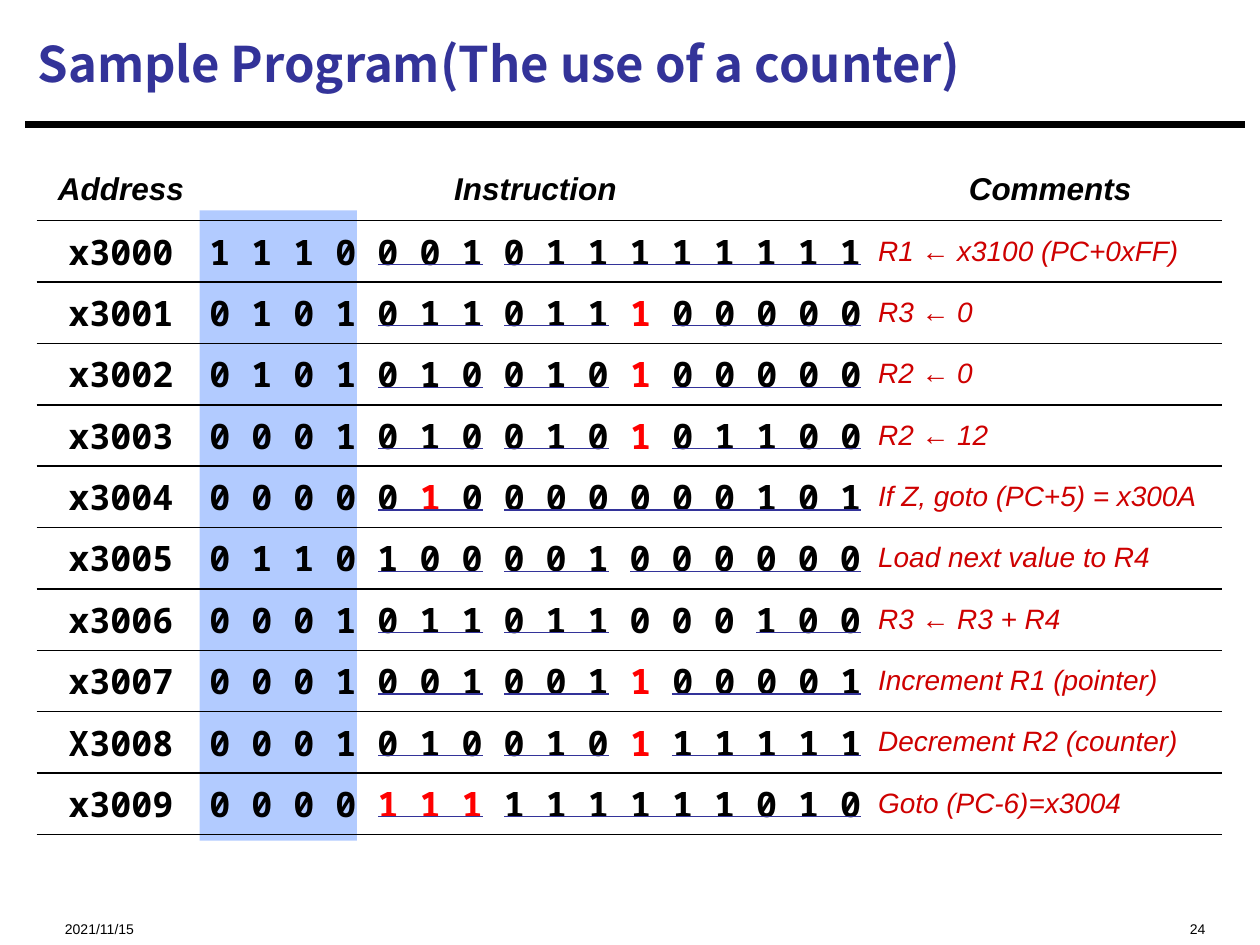
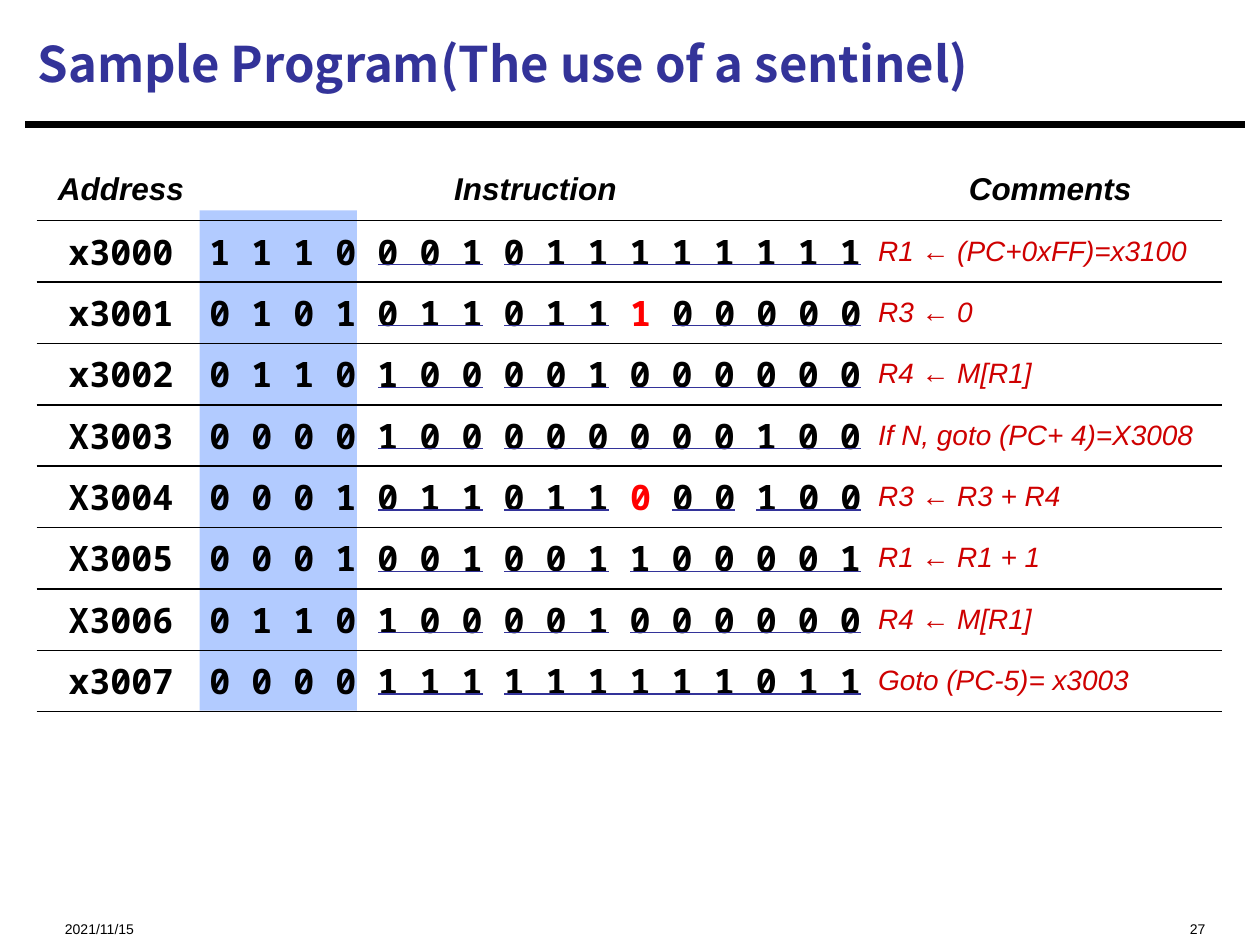
from dataclasses import dataclass
from itertools import groupby

from lxml.etree import SubElement
from pptx import Presentation
from pptx.dml.color import RGBColor
from pptx.enum.shapes import MSO_CONNECTOR, MSO_SHAPE
from pptx.enum.text import MSO_ANCHOR, MSO_AUTO_SIZE, PP_ALIGN
from pptx.oxml import parse_xml
from pptx.oxml.ns import nsdecls, qn
from pptx.util import Inches, Pt

# Grid: one column holds one instruction bit, one row holds one instruction
WIDTH, HEIGHT = Inches(10), Inches(7.5)
COLUMN, ROW = WIDTH / 30, HEIGHT / 15.4
TABLE_LEFT, TABLE_TOP = 0.87, 2.57
TABLE_COLUMNS = (3.72, 16.02, 8.49)
FIRST_BIT, BIT_WIDTH = 5, 0.5
FIRST_UNDERLINE = 4.31

BLACK, NAVY, RED, CRIMSON, BLUE = "000000", "333399", "FF0000", "CE0000", "6699FF"

# Underlined bit ranges of each instruction format
Fields = tuple[tuple[int, int], ...]
REGISTERS: Fields = ((4, 6), (7, 9))
OFFSET: Fields = ((4, 6), (7, 15))
BASE: Fields = REGISTERS + ((10, 15),)
IMMEDIATE: Fields = REGISTERS + ((11, 15),)
TWO_SOURCES: Fields = REGISTERS + ((13, 15),)
PADDED_SOURCES: Fields = REGISTERS + ((11, 12), (13, 15))


@dataclass(frozen=True)
class TextStyle:
    font: str
    size: float
    color: str = BLACK
    bold: bool = False
    italic: bool = False


TITLE = TextStyle("Noto Sans CJK SC", 28, NAVY, bold=True)
HEADING = TextStyle("Arial", 18, bold=True, italic=True)
CODE = TextStyle("Noto Sans Mono", 20, bold=True)
MARKED_CODE = TextStyle("Noto Sans Mono", 20, RED, bold=True)
COMMENT = TextStyle("Arial", 16, CRIMSON, italic=True)
FOOTER = TextStyle("Arial", 8)


@dataclass(frozen=True)
class Instruction:
    address: str
    bits: str
    comment: str
    fields: Fields
    marked: tuple[int, ...] = ()


@dataclass(frozen=True)
class Program:
    title: str
    number: str
    opcode_band_rows: float
    instructions: tuple[Instruction, ...]


COUNTER = Program("Sample Program(The use of a counter)", "24", 10.27, (
    Instruction("x3000", "1110001011111111", "R1 ← x3100 (PC+0xFF)", OFFSET),
    Instruction("x3001", "0101011011100000", "R3 ← 0", IMMEDIATE, (10,)),
    Instruction("x3002", "0101010010100000", "R2 ← 0", IMMEDIATE, (10,)),
    Instruction("x3003", "0001010010101100", "R2 ← 12", IMMEDIATE, (10,)),
    Instruction("x3004", "0000010000000101", "If Z, goto (PC+5) = x300A", OFFSET, (5,)),
    Instruction("x3005", "0110100001000000", "Load next value to R4", BASE),
    Instruction("x3006", "0001011011000100", "R3 ← R3 + R4", TWO_SOURCES),
    Instruction("x3007", "0001001001100001", "Increment R1 (pointer)", IMMEDIATE, (10,)),
    Instruction("X3008", "0001010010111111", "Decrement R2 (counter)", IMMEDIATE, (10,)),
    Instruction("x3009", "0000111111111010", "Goto (PC-6)=x3004", OFFSET, (4, 5, 6)),
))

SENTINEL = Program("Sample Program(The use of a sentinel)", "27", 8.15, (
    Instruction("x3000", "1110001011111111", "R1 ← (PC+0xFF)=x3100", OFFSET),
    Instruction("x3001", "0101011011100000", "R3 ← 0", IMMEDIATE, (10,)),
    Instruction("x3002", "0110100001000000", "R4 ← M[R1]", BASE),
    Instruction("X3003", "0000100000000100", "If N, goto (PC+ 4)=X3008", OFFSET),
    Instruction("X3004", "0001011011000100", "R3 ← R3 + R4", PADDED_SOURCES, (10,)),
    Instruction("X3005", "0001001001100001", "R1 ← R1 + 1", BASE),
    Instruction("X3006", "0110100001000000", "R4 ← M[R1]", BASE),
    Instruction("x3007", "0000111111111011", "Goto (PC-5)= x3003", OFFSET),
))


def rgb(value: str) -> RGBColor:
    return RGBColor.from_string(value)


def place(column: float, row: float, columns: float, rows: float) -> tuple[int, ...]:
    """Turn grid units into left, top, width and height."""
    return (round(column * COLUMN), round(row * ROW),
            round(columns * COLUMN), round(rows * ROW))


def add_run(paragraph, text: str, style: TextStyle) -> None:
    run = paragraph.add_run()
    run.text = text
    run.font.name, run.font.size = style.font, Pt(style.size)
    run.font.bold, run.font.italic = style.bold, style.italic
    run.font.color.rgb = rgb(style.color)


def draw_line(slide, start: float, end: float, row: float, color: str, weight: float) -> None:
    left, top, width, _ = place(start, row, end - start, 0)
    line = slide.shapes.add_connector(MSO_CONNECTOR.STRAIGHT, left, top, left + width, top)
    line.line.color.rgb, line.line.width = rgb(color), Pt(weight)
    SubElement(line._element.spPr, qn("a:effectLst"))


# Shared frame of every slide
def draw_title(slide, text: str) -> None:
    title = slide.shapes.title
    title.left, title.top, title.width, title.height = place(0.6, 0.16, 29, 1.72)
    frame = title.text_frame
    frame.auto_size, frame.word_wrap = MSO_AUTO_SIZE.NONE, True
    frame.vertical_anchor = MSO_ANCHOR.MIDDLE
    frame.paragraphs[0].alignment = PP_ALIGN.LEFT
    add_run(frame.paragraphs[0], text, TITLE)
    draw_line(slide, 0.6, 29.64, 2.03, BLACK, 3.75)


def draw_footer(slide, text: str, column: float, columns: float, align: PP_ALIGN) -> None:
    frame = slide.shapes.add_textbox(*place(column, 14.68, columns, 0.55)).text_frame
    frame.word_wrap = True
    frame.margin_top, frame.margin_bottom = Inches(0.18), 0
    frame.paragraphs[0].alignment = align
    add_run(frame.paragraphs[0], text, FOOTER)


# Program listing
def draw_opcode_band(slide, rows: float) -> None:
    band = slide.shapes.add_shape(MSO_SHAPE.RECTANGLE, *place(4.75, 3.43, 3.75, rows))
    band.shadow.inherit = False
    band.fill.solid()
    band.fill.fore_color.rgb = rgb(BLUE)
    band.line.fill.background()
    color = band._element.spPr.find(qn("a:solidFill"))[0]
    SubElement(color, qn("a:alpha"), val="50000")


def set_borders(cell, sides: str) -> None:
    """Rule the named sides (T, B) of a cell and clear the others."""
    properties = cell._tc.get_or_add_tcPr()
    for position, side in enumerate("LRTB"):
        paint = (f'<a:solidFill><a:srgbClr val="{BLACK}"/></a:solidFill>'
                 if side in sides else "<a:noFill/>")
        properties.insert(position, parse_xml(
            f'<a:ln{side} {nsdecls("a")} w="{Pt(1)}">{paint}</a:ln{side}>'))


def prepare_cell(cell, align: PP_ALIGN, is_heading: bool):
    cell.fill.background()
    set_borders(cell, "B" if is_heading else "TB")
    cell.vertical_anchor = MSO_ANCHOR.MIDDLE
    cell.margin_left, cell.margin_right = Inches(0.1), 0
    cell.margin_top = cell.margin_bottom = Inches(0.1) if is_heading else 0
    paragraph = cell.text_frame.paragraphs[0]
    paragraph.alignment = align
    return paragraph


def add_bits(paragraph, instruction: Instruction) -> None:
    last = len(instruction.bits) - 1
    for marked, group in groupby(enumerate(instruction.bits),
                                 lambda item: item[0] in instruction.marked):
        text = "".join(bit if index == last else bit + " " for index, bit in group)
        add_run(paragraph, text, MARKED_CODE if marked else CODE)


def draw_listing(slide, instructions: tuple[Instruction, ...]) -> None:
    rows = len(instructions) + 1
    listing = slide.shapes.add_table(
        rows, len(TABLE_COLUMNS),
        *place(TABLE_LEFT, TABLE_TOP, sum(TABLE_COLUMNS), rows)).table
    listing.first_row = listing.horz_banding = False
    for column, columns in zip(listing.columns, TABLE_COLUMNS):
        column.width = round(columns * COLUMN)
    for row in listing.rows:
        row.height = round(ROW)

    for index, heading in enumerate(("Address", "Instruction", "Comments")):
        add_run(prepare_cell(listing.cell(0, index), PP_ALIGN.CENTER, True), heading, HEADING)

    for index, instruction in enumerate(instructions, start=1):
        address, bits, comment = (
            prepare_cell(listing.cell(index, column), align, False)
            for column, align in enumerate((PP_ALIGN.CENTER, PP_ALIGN.CENTER, PP_ALIGN.LEFT)))
        add_run(address, instruction.address, CODE)
        add_bits(bits, instruction)
        add_run(comment, instruction.comment, COMMENT)


def underline_fields(slide, instructions: tuple[Instruction, ...]) -> None:
    for index, instruction in enumerate(instructions):
        for first, last in instruction.fields:
            draw_line(slide, FIRST_BIT + first, FIRST_BIT + last + BIT_WIDTH,
                      FIRST_UNDERLINE + index, NAVY, 0.75)


def draw_program(presentation, program: Program) -> None:
    slide = presentation.slides.add_slide(presentation.slide_layouts.get_by_name("Title Only"))
    draw_title(slide, program.title)
    draw_footer(slide, "2021/11/15", 1.25, 7.5, PP_ALIGN.LEFT)
    draw_footer(slide, program.number, 20, 9, PP_ALIGN.RIGHT)
    draw_opcode_band(slide, program.opcode_band_rows)
    draw_listing(slide, program.instructions)
    underline_fields(slide, program.instructions)


def main() -> None:
    presentation = Presentation()
    presentation.slide_width, presentation.slide_height = WIDTH, HEIGHT
    for program in (COUNTER, SENTINEL):
        draw_program(presentation, program)
    presentation.save("out.pptx")


if __name__ == "__main__":
    main()
